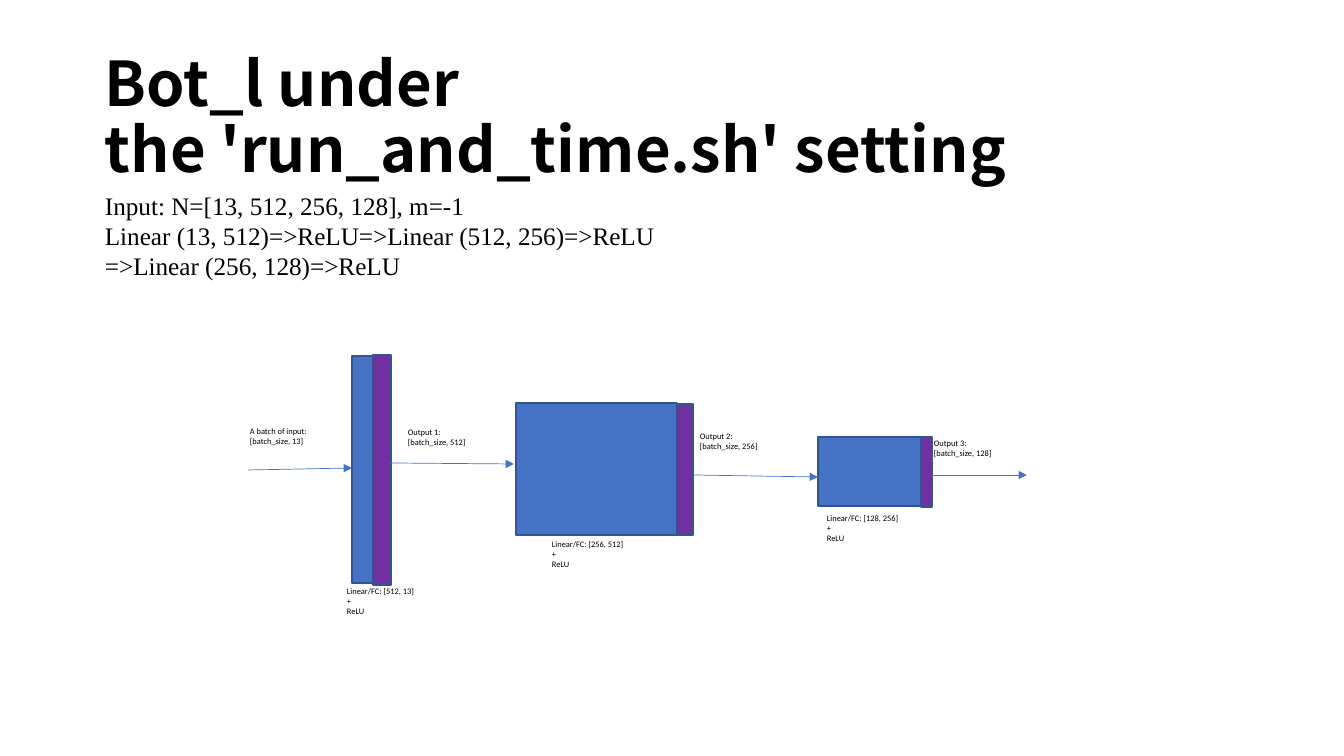
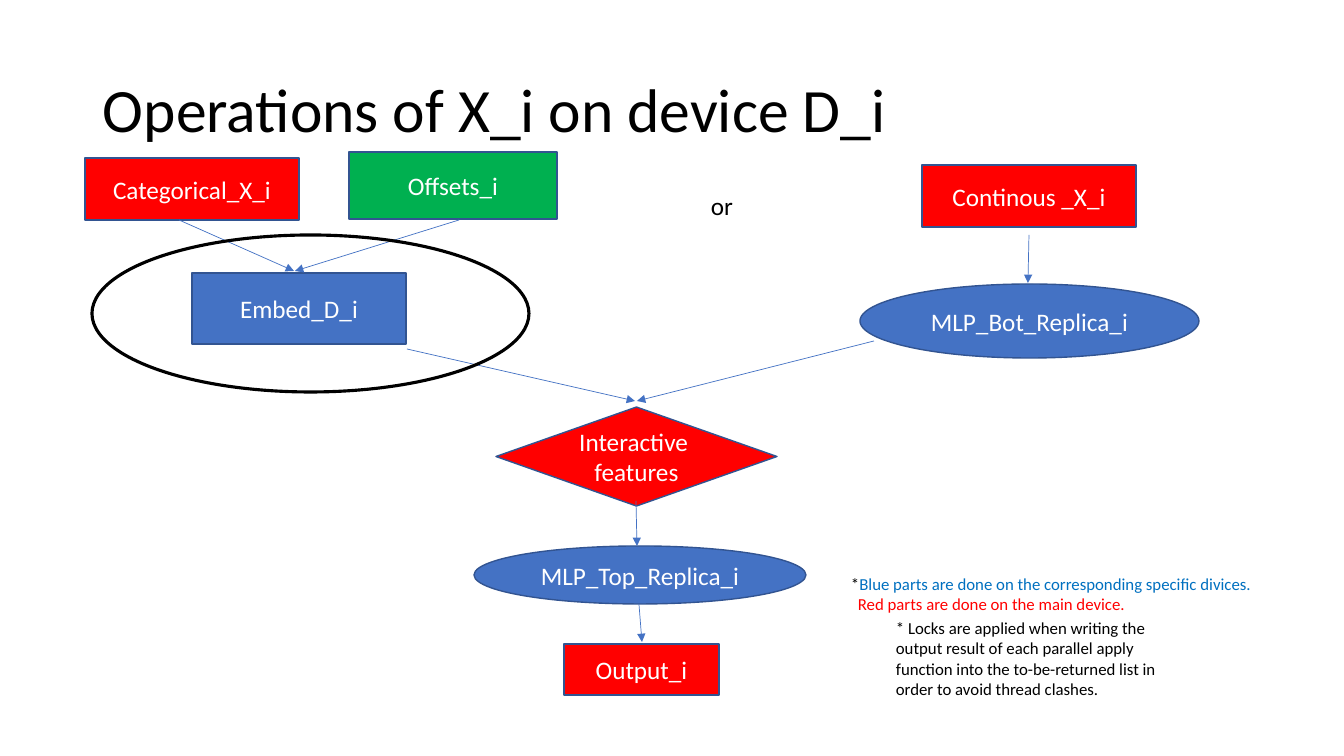
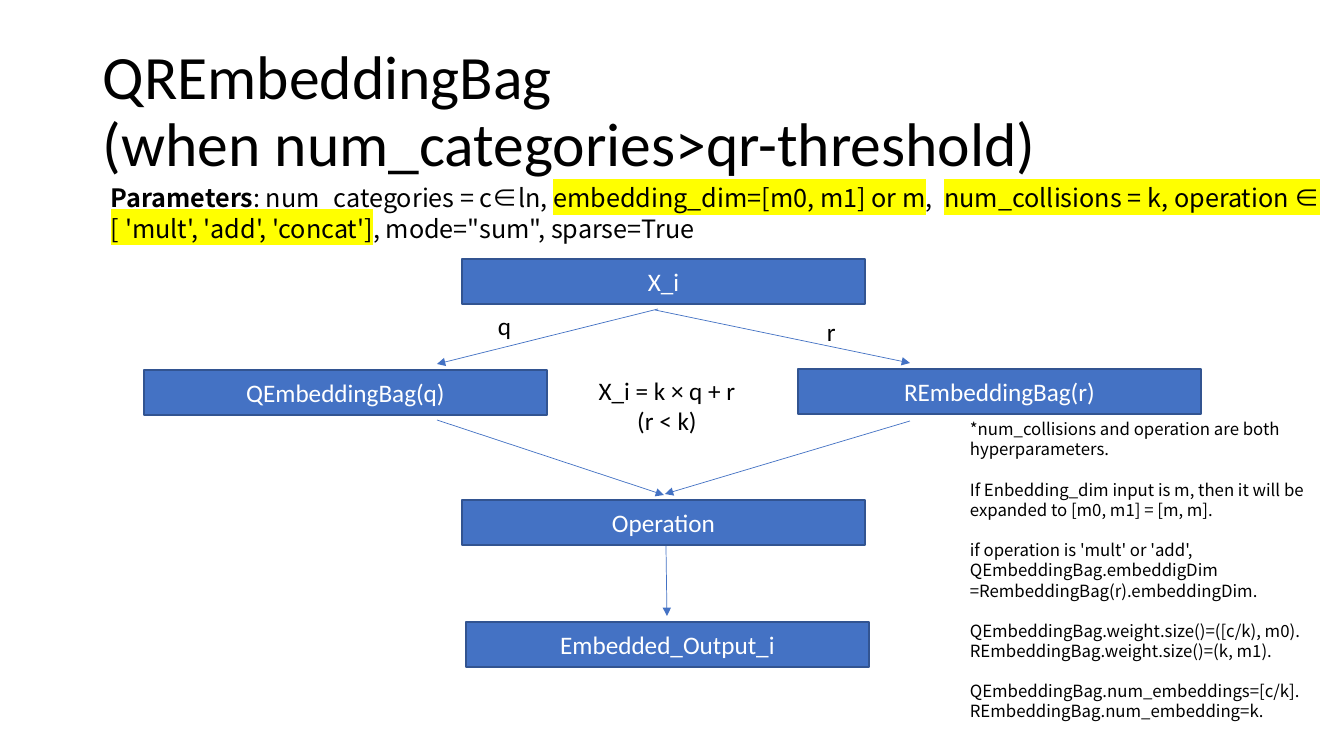
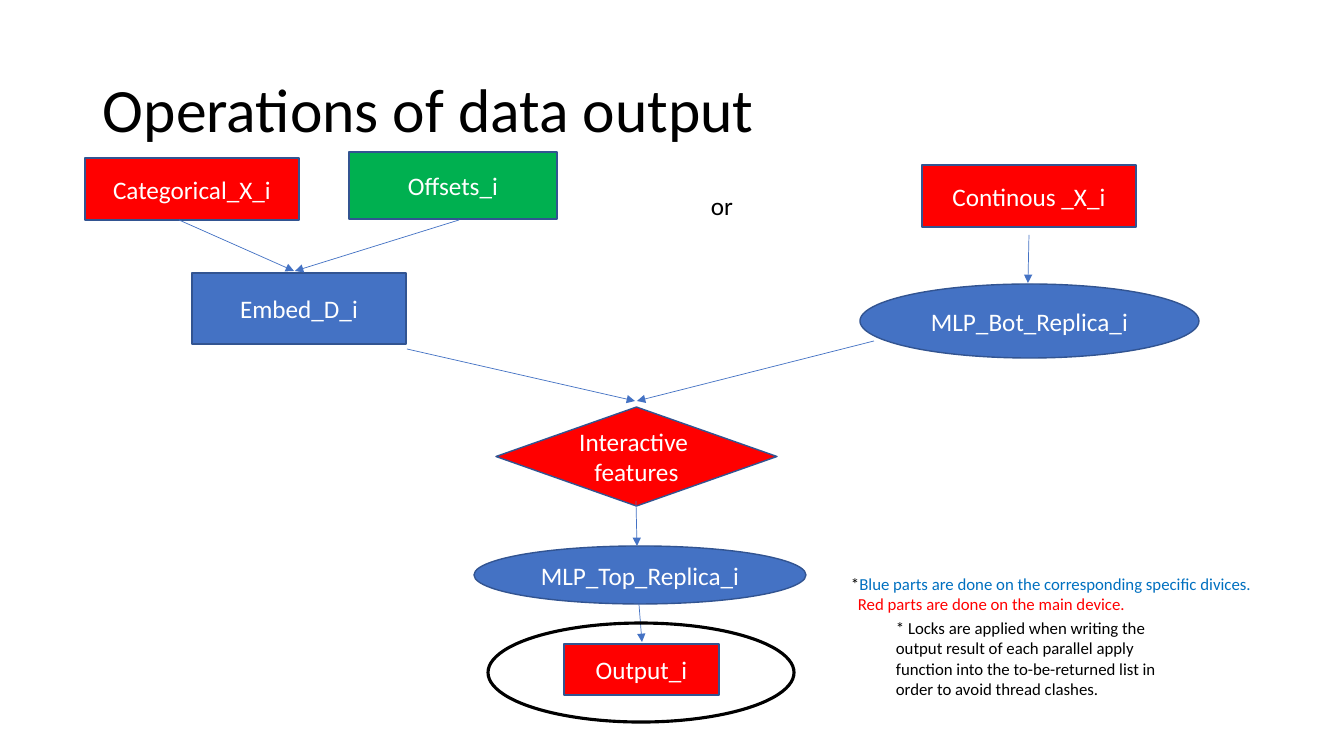
from lxml.etree import SubElement
from pptx import Presentation
from pptx.dml.color import RGBColor
from pptx.enum.shapes import MSO_CONNECTOR, MSO_SHAPE as SHAPE
from pptx.enum.text import MSO_ANCHOR as ANCHOR, PP_ALIGN as ALIGN
from pptx.oxml import parse_xml
from pptx.oxml.ns import nsdecls, qn
from pptx.util import Pt

SCALE = 914400 / 100.8
COLORS = {
    "ink": "000000", "paper": "FFFFFF", "blue": "4472C4", "edge": "325491",
    "purple": "7030A0", "red": "FF0000", "green": "00B050",
    "note_blue": "0070C0", "marker": "FFFF00",
}
CALIBRI, NOTO, TIMES = "Calibri", "Noto Sans CJK SC", "Times New Roman"


def emu(*pixels):
    """Turn pixel lengths into EMU."""
    return [round(value * SCALE) for value in pixels]


def rgb(name):
    """Look up a named colour."""
    return RGBColor.from_string(COLORS[name])


class Deck:
    """Presentation style together with the current slide."""

    def __init__(self):
        """Start an empty widescreen presentation."""
        self.prs = Presentation()
        self.prs.slide_width, self.prs.slide_height = emu(1344, 756)

    def new_slide(self, title, box=(93, 40, 1159, 146), **style):
        """Add a blank slide and its title."""
        self.slide = self.prs.slides.add_slide(self.prs.slide_layouts[6])
        self.text(box, [title], anchor=ANCHOR.MIDDLE, **{"size": 44, "spacing": 0.9, **style})

    def add_words(self, paragraph, words, size=18, font=CALIBRI, color="ink", bold=False, marker=None):
        """Add styled words; a vertical tab in them becomes a line break."""
        for index, line in enumerate(words.split("\v")):
            if index:
                paragraph.add_line_break()
            run = paragraph.add_run()
            run.text = line
            for key, value in {"size": Pt(size), "name": font, "bold": bold}.items():
                setattr(run.font, key, value)
            run.font.color.rgb = rgb(color)
            if marker:
                highlight = parse_xml(f'<a:highlight {nsdecls("a")}><a:srgbClr val="{COLORS[marker]}"/></a:highlight>')
                run.font._element.find(qn("a:solidFill")).addnext(highlight)

    def fill_text(self, frame, paragraphs, anchor=ANCHOR.TOP, align=ALIGN.LEFT,
                  spacing=None, gaps=(), gap=0, indents=None, **style):
        """Fill a frame; each paragraph is a string or a list of (words, style)."""
        frame.word_wrap = True
        frame.vertical_anchor = anchor
        for index, content in enumerate(paragraphs):
            paragraph = frame.add_paragraph() if index else frame.paragraphs[0]
            layout = {"alignment": align, "line_spacing": spacing,
                      "space_before": Pt(gap if index in gaps else 0)}
            for key, value in layout.items():
                setattr(paragraph, key, value)
            if indents and index in indents:
                paragraph._p.get_or_add_pPr().set("marL", str(emu(indents[index])[0]))
            for words, extra in [(content, {})] if isinstance(content, str) else content:
                self.add_words(paragraph, words, **{**style, **extra})

    def text(self, box, paragraphs, **style):
        """Place a text box."""
        self.fill_text(self.slide.shapes.add_textbox(*emu(*box)).text_frame, paragraphs, **style)

    def node(self, box, label="", color="blue", kind=SHAPE.RECTANGLE):
        """Place a filled diagram node with a centred label."""
        node = self.outline(box, kind, "edge", 1)
        node.fill.solid()
        node.fill.fore_color.rgb = rgb(color)
        if label:
            self.fill_text(node.text_frame, [label], anchor=ANCHOR.MIDDLE,
                           align=ALIGN.CENTER, color="paper")

    def outline(self, box, kind=SHAPE.OVAL, color="ink", width=2.25):
        """Place an unfilled outline."""
        shape = self.slide.shapes.add_shape(kind, *emu(*box))
        shape.shadow.inherit = False
        shape.fill.background()
        shape.line.color.rgb = rgb(color)
        shape.line.width = Pt(width)
        return shape

    def arrow(self, *ends):
        """Draw a thin arrow from x1, y1 to x2, y2."""
        arrow = self.slide.shapes.add_connector(MSO_CONNECTOR.STRAIGHT, *emu(*ends))
        arrow.line.color.rgb = rgb("blue")
        arrow.line.width = Pt(0.5)
        SubElement(arrow.line._get_or_add_ln(), qn("a:tailEnd"), type="triangle")
        SubElement(arrow._element.spPr, qn("a:effectLst"))


def bottom_mlp(deck):
    """Layer sizes of the bottom network."""
    deck.new_slide("Bot_l under\vthe 'run_and_time.sh' setting", (95, 46, 938, 146),
                   font=NOTO, bold=True, spacing=Pt(47))
    deck.text((95, 185, 881, 102), [
        "Input: N=[13, 512, 256, 128], m=-1",
        "Linear (13, 512)=>ReLU=>Linear (512, 256)=>ReLU",
        "=>Linear (256, 128)=>ReLU"], font=TIMES)
    layers = [
        ((352, 356, 21, 227), (373, 355, 18, 230), (337, 581, 203, 66), "[512, 13]"),
        ((516, 403, 161, 132), (677, 404, 16, 131), (542, 534, 188, 66), "[256, 512]"),
        ((818, 437, 103, 69), (921, 437, 11, 70), (817, 508, 188, 66), "[128, 256]"),
    ]
    for linear, relu, caption, weights in layers:
        deck.node(linear)
        deck.node(relu, color="purple")
        deck.text(caption, [f"Linear/FC: {weights}", "+", "ReLU"], size=6)
    flows = [
        (240, 421, "A batch of input:", 13, (248, 470, 352, 468)),
        (398, 422, "Output 1:", 512, (390, 463, 514, 464)),
        (690, 426, "Output 2:", 256, (694, 475, 818, 477)),
        (924, 433, "Output 3:", 128, (932, 475, 1027, 475)),
    ]
    for left, top, name, width, ends in flows:
        deck.text((left, top, 132, 49), [name, f"[batch_size, {width}]"], size=6)
        deck.arrow(*ends)


def operations(deck, title, focus):
    """Data flow on one device, with the step in focus circled."""
    deck.new_slide(title)
    nodes = [
        ((85, 158, 214, 62), "Categorical_X_i", "red", SHAPE.RECTANGLE),
        ((349, 152, 208, 67), "Offsets_i", "green", SHAPE.RECTANGLE),
        ((922, 165, 214, 62), "Continous _X_i", "red", SHAPE.RECTANGLE),
        ((192, 273, 214, 71), "Embed_D_i", "blue", SHAPE.RECTANGLE),
        ((860, 284, 339, 74), "MLP_Bot_Replica_i", "blue", SHAPE.OVAL),
        ((496, 407, 281, 99), "Interactive\u00a0features", "red", SHAPE.DIAMOND),
        ((474, 546, 332, 58), "MLP_Top_Replica_i", "blue", SHAPE.OVAL),
        ((564, 644, 155, 51), "Output_i", "red", SHAPE.RECTANGLE),
    ]
    for node in nodes:
        deck.node(*node)
    for ends in [(179, 220, 294, 271), (459, 220, 295, 271), (1029, 235, 1028, 283),
                 (407, 349, 635, 401), (874, 341, 637, 401),
                 (636, 501, 637, 546), (639, 604, 642, 642)]:
        deck.arrow(*ends)
    deck.outline(focus)
    deck.text((701, 185, 302, 40), ["or"])
    deck.text((841, 569, 500, 50), [
        [("*", {}), ("Blue parts are done on the corresponding specific divices.", {"color": "note_blue"})],
        [("Red parts are done on the main device.", {"color": "red"})]],
        size=12, indents={1: 7})
    deck.text((886, 613, 302, 92), [
        "* Locks are applied when writing the output result of each parallel apply "
        "function into the to-be-returned list in order to avoid thread clashes."], size=12)


def qr_embedding(deck):
    """Quotient and remainder embedding flow."""
    deck.new_slide("QREmbeddingBag\v(when num_categories>qr-threshold)")
    marked = {"marker": "marker"}
    deck.text((101, 178, 1243, 72), [[
        ("Parameters", {"bold": True}), (": num_categories = c∈ln, ", {}),
        ("embedding_dim=[m0, m1] or m", marked), (",\u00a0\u00a0", {}),
        ("num_collisions = k, operation ∈ [ 'mult', 'add', 'concat']", marked),
        (", mode=\"sum\", sparse=True", {})]], font=NOTO, spacing=Pt(21.5))
    for left, top, label in [(462, 259, "X_i"), (144, 370, "QEmbeddingBag(q)"),
                             (798, 369, "REmbeddingBag(r)"), (462, 500, "Operation"),
                             (466, 622, "Embedded_Output_i")]:
        deck.node((left, top, 403, 45), label)
    for ends in [(658, 309, 437, 364), (655, 310, 910, 363), (437, 420, 664, 495),
                 (910, 421, 665, 494), (666, 546, 667, 616)]:
        deck.arrow(*ends)
    deck.text((488, 305, 36, 40), ["q"])
    deck.text((817, 311, 36, 40), ["r"])
    deck.text((516, 370, 302, 72), ["X_i = k × q + r", "(r < k)"], align=ALIGN.CENTER)
    deck.text((960, 414, 362, 336), [
        "*num_collisions and operation are both hyperparameters.",
        "If Enbedding_dim input is m, then it will be expanded to [m0, m1] = [m, m].",
        "if operation is 'mult' or 'add',",
        "QEmbeddingBag.embeddigDim",
        "=RembeddingBag(r).embeddingDim.",
        "QEmbeddingBag.weight.size()=([c/k), m0).",
        "REmbeddingBag.weight.size()=(k, m1).",
        "QEmbeddingBag.num_embeddings=[c/k].",
        "REmbeddingBag.num_embedding=k."],
        size=12, font=NOTO, spacing=Pt(14.4), gaps=(1, 2, 5, 7), gap=14.4)


deck = Deck()
bottom_mlp(deck)
operations(deck, "Operations of X_i on device D_i", focus=(92, 235, 437, 157))
qr_embedding(deck)
operations(deck, "Operations of data output", focus=(488, 623, 306, 99))
deck.prs.save("out.pptx")
